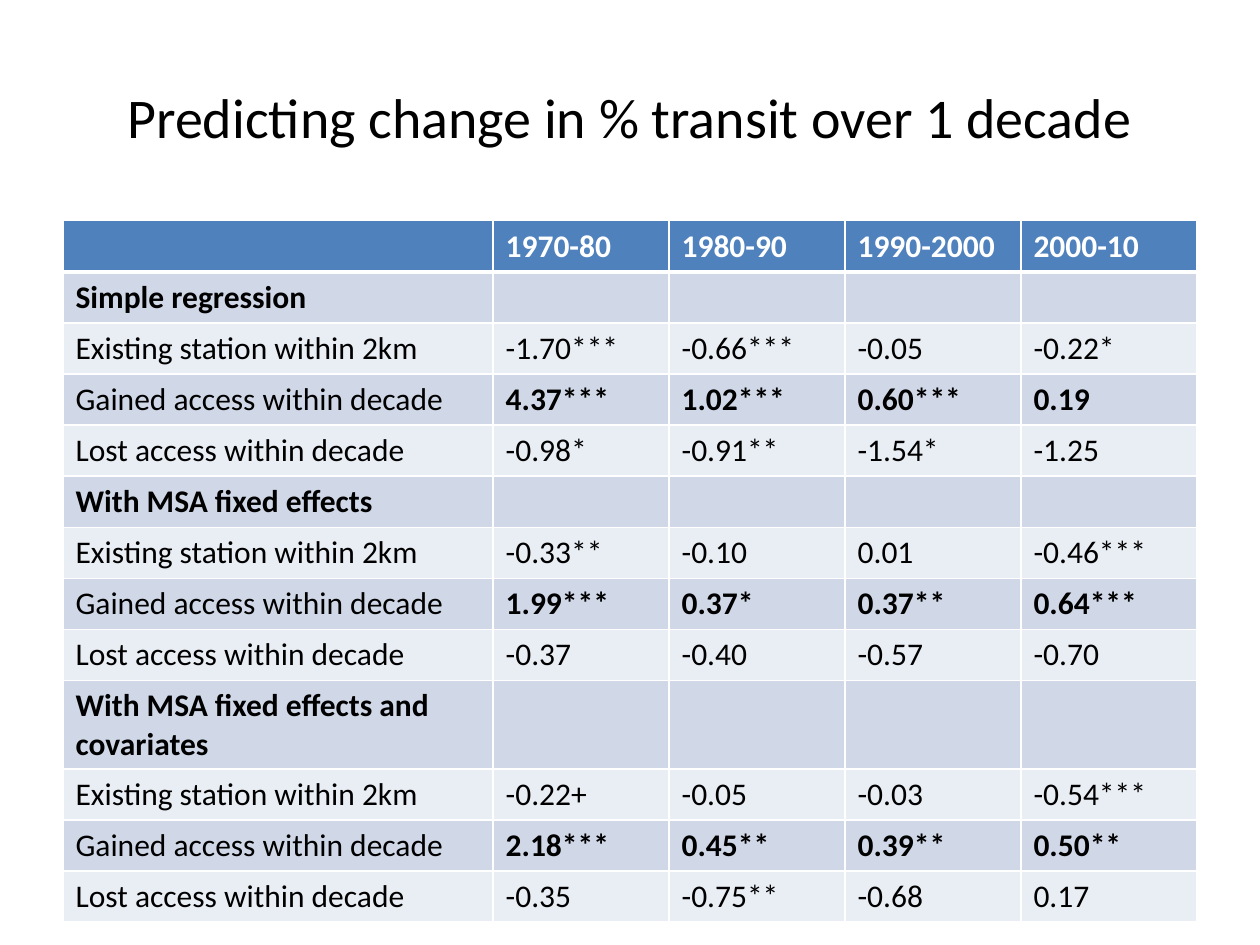
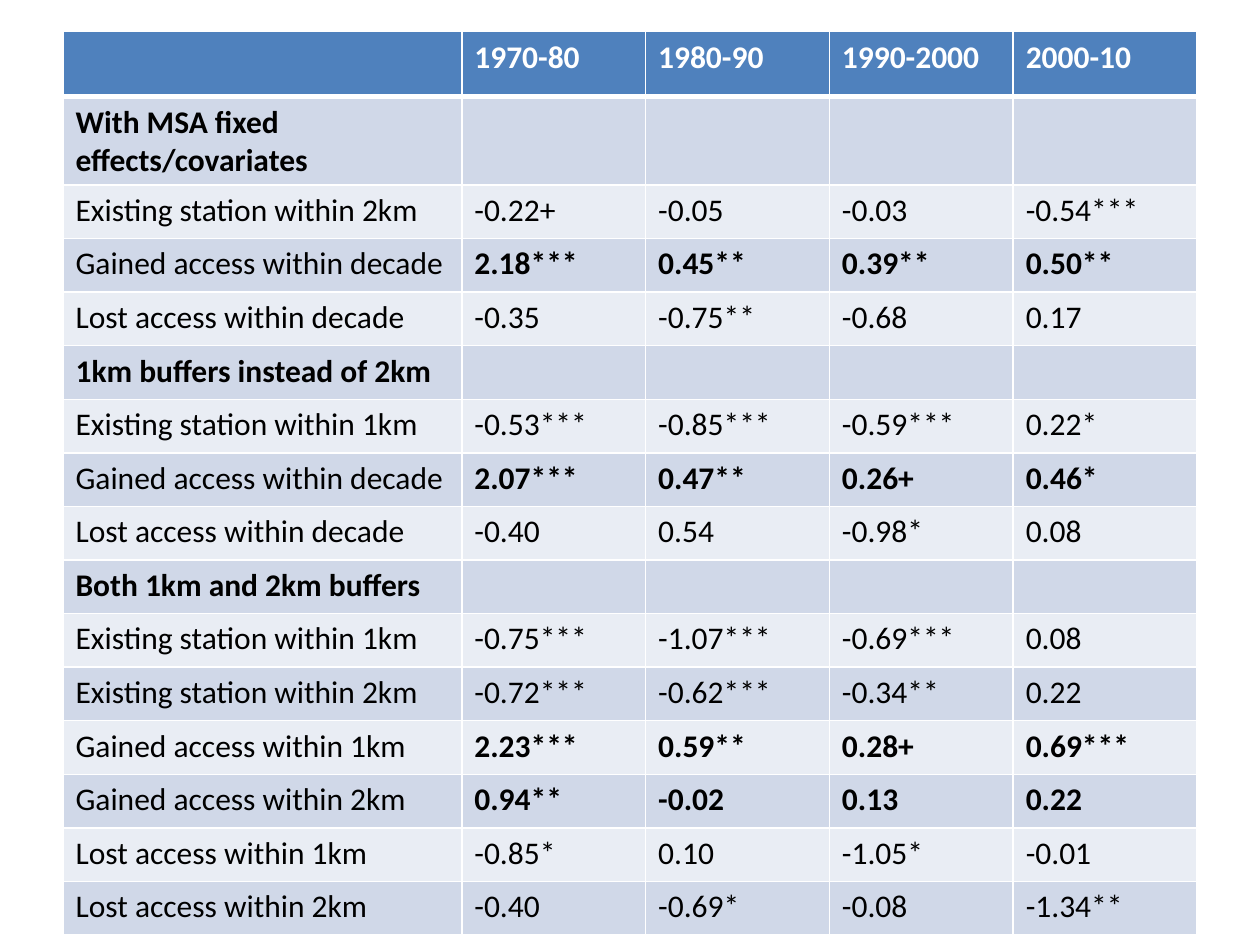
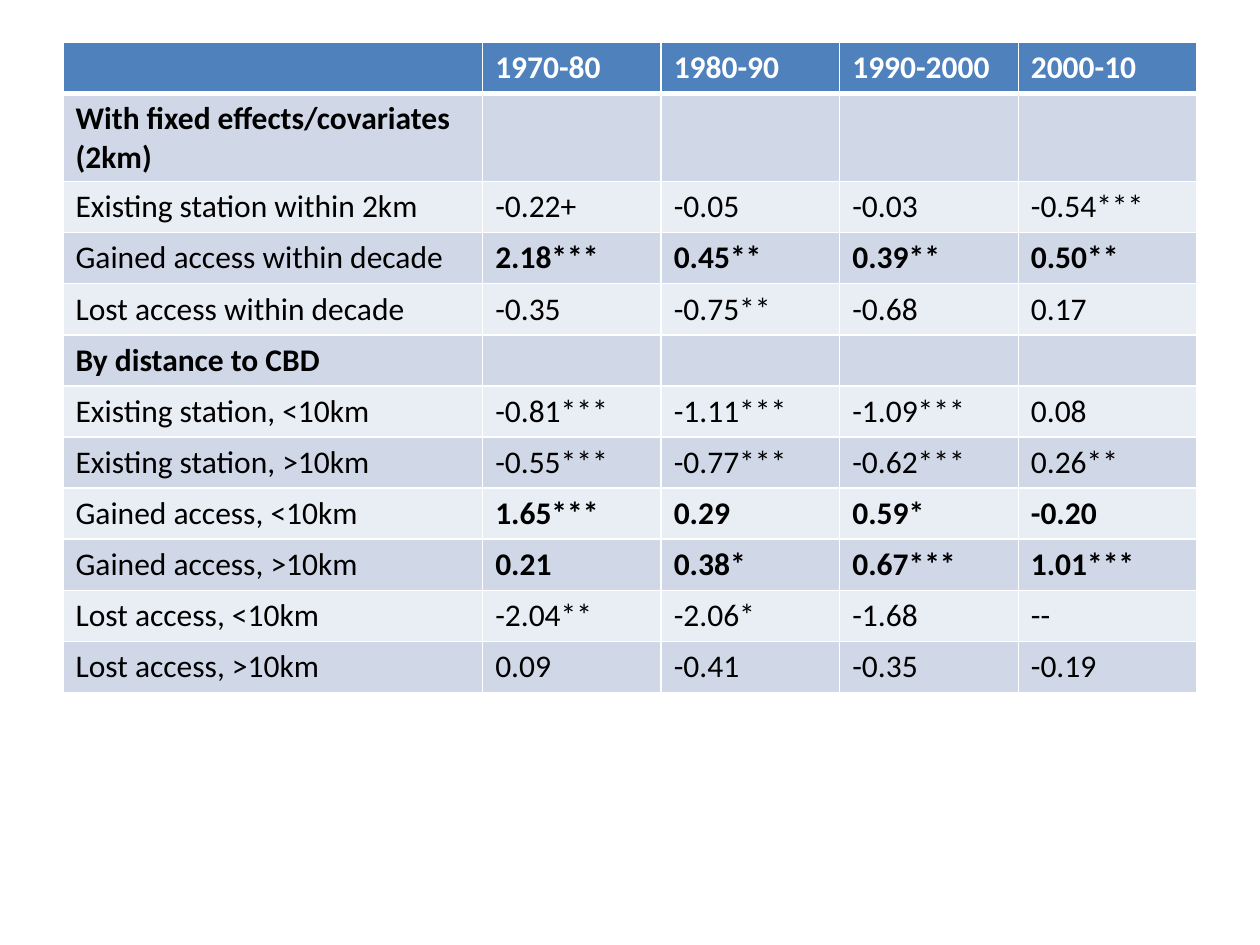
"""Build three slides of regression tables on transit access and ridership."""
from dataclasses import dataclass

from lxml.etree import SubElement as Sub
from pptx import Presentation
from pptx.dml.color import RGBColor as RGB
from pptx.enum.text import MSO_ANCHOR as Anchor, PP_ALIGN as Align
from pptx.oxml.ns import qn
from pptx.util import Cm, Pt


@dataclass(frozen=True)
class Theme:
    font: str = "Calibri"
    title_size: int = 32
    cell_size: int = 18
    ink: str = "000000"
    paper: str = "FFFFFF"
    header: str = "4F81BD"
    bands: tuple = ("D0D8E8", "E9EDF4")
    rule: int = 1
    header_rule: int = 3


T = Theme()
LEFT, WIDTH = 1.27, 22.86
TITLE_TOP, TITLE_HEIGHT = 0.76, 3.18
HEADER = ("", "1970-80", "1980-90", "1990-2000", "2000-10")
BOLD_PREFIX = "Gained"

COVARIATE_ROWS = [
    ("Existing station within 2km", "-0.22+", "-0.05", "-0.03", "-0.54***"),
    ("Gained access within decade", "2.18***", "0.45**", "0.39**", "0.50**"),
    ("Lost access within decade", "-0.35", "-0.75**", "-0.68", "0.17"),
]

MODELS = [
    ("Simple regression",),
    ("Existing station within 2km", "-1.70***", "-0.66***", "-0.05", "-0.22*"),
    ("Gained access within decade", "4.37***", "1.02***", "0.60***", "0.19"),
    ("Lost access within decade", "-0.98*", "-0.91**", "-1.54*", "-1.25"),
    ("With MSA fixed effects",),
    ("Existing station within 2km", "-0.33**", "-0.10", "0.01", "-0.46***"),
    ("Gained access within decade", "1.99***", "0.37*", "0.37**", "0.64***"),
    ("Lost access within decade", "-0.37", "-0.40", "-0.57", "-0.70"),
    ("With MSA fixed effects and covariates",),
    *COVARIATE_ROWS,
]

BUFFERS = [
    ("With MSA fixed effects/covariates",),
    *COVARIATE_ROWS,
    ("1km buffers instead of 2km",),
    ("Existing station within 1km", "-0.53***", "-0.85***", "-0.59***", "0.22*"),
    ("Gained access within decade", "2.07***", "0.47**", "0.26+", "0.46*"),
    ("Lost access within decade", "-0.40", "0.54", "-0.98*", "0.08"),
    ("Both 1km and 2km buffers",),
    ("Existing station within 1km", "-0.75***", "-1.07***", "-0.69***", "0.08"),
    ("Existing station within 2km", "-0.72***", "-0.62***", "-0.34**", "0.22"),
    ("Gained access within 1km", "2.23***", "0.59**", "0.28+", "0.69***"),
    ("Gained access within 2km", "0.94**", "-0.02", "0.13", "0.22"),
    ("Lost access within 1km", "-0.85*", "0.10", "-1.05*", "-0.01"),
    ("Lost access within 2km", "-0.40", "-0.69*", "-0.08", "-1.34**"),
]

DISTANCES = [
    ("With fixed effects/covariates (2km)",),
    *COVARIATE_ROWS,
    ("By distance to CBD",),
    ("Existing station, <10km", "-0.81***", "-1.11***", "-1.09***", "0.08"),
    ("Existing station, >10km", "-0.55***", "-0.77***", "-0.62***", "0.26**"),
    ("Gained access, <10km", "1.65***", "0.29", "0.59*", "-0.20"),
    ("Gained access, >10km", "0.21", "0.38*", "0.67***", "1.01***"),
    ("Lost access, <10km", "-2.04**", "-2.06*", "-1.68", "--"),
    ("Lost access, >10km", "0.09", "-0.41", "-0.35", "-0.19"),
]

SLIDES = [
    dict(title="Predicting change in % transit over 1 decade", rows=MODELS,
         top=4.45, label_width=8.67, header_height=1.03, row_height=1.03),
    dict(title=None, rows=BUFFERS,
         top=0.64, label_width=8.04, header_height=1.31, row_height=1.08),
    dict(title=None, rows=DISTANCES,
         top=0.85, label_width=8.46, header_height=1.03, row_height=1.03),
]


def put_text(tf, text, size=T.cell_size, color=T.ink, bold=False, align=Align.LEFT):
    p = tf.paragraphs[0]
    p.alignment = align
    r = p.add_run()
    r.text = text
    r.font.name, r.font.size, r.font.bold = T.font, Pt(size), bold
    r.font.color.rgb = RGB.from_string(color)


def set_borders(cell, top=T.rule, bottom=T.rule):
    tc_pr = cell._tc.get_or_add_tcPr()
    for side, width in (("L", T.rule), ("R", T.rule), ("T", top), ("B", bottom)):
        ln = Sub(tc_pr, qn(f"a:ln{side}"), w=str(Pt(width)))
        Sub(Sub(ln, qn("a:solidFill")), qn("a:srgbClr"), val=T.paper)


def add_title(s, text):
    sp = s.shapes.add_textbox(Cm(LEFT), Cm(TITLE_TOP), Cm(WIDTH), Cm(TITLE_HEIGHT))
    tf = sp.text_frame
    tf.word_wrap = True
    tf.vertical_anchor = Anchor.MIDDLE
    put_text(tf, text, size=T.title_size, align=Align.CENTER)


def add_results(s, rows, top, label_width, header_height, row_height):
    lines = [HEADER, *rows]
    heights = [header_height] + [row_height] * len(rows)
    columns = len(HEADER)
    value_width = (WIDTH - label_width) / (columns - 1)
    tbl = s.shapes.add_table(len(lines), columns, Cm(LEFT), Cm(top),
                             Cm(WIDTH), Cm(sum(heights))).table
    tbl.horz_banding = False
    for j, col in enumerate(tbl.columns):
        col.width = Cm(value_width if j else label_width)
    for i, (line, height) in enumerate(zip(lines, heights)):
        tbl.rows[i].height = Cm(height)
        is_header, is_section = i == 0, len(line) == 1
        fill = T.header if is_header else T.bands[(i - 1) % 2]
        for j in range(columns):
            cell = tbl.cell(i, j)
            set_borders(cell, top=T.header_rule if i == 1 else T.rule,
                        bottom=T.header_rule if is_header else T.rule)
            cell.fill.solid()
            cell.fill.fore_color.rgb = RGB.from_string(fill)
            if j < len(line) and line[j]:
                is_gain = j > 0 and line[0].startswith(BOLD_PREFIX)
                put_text(cell.text_frame, line[j],
                         color=T.paper if is_header else T.ink,
                         bold=is_header or is_section or is_gain)


def main():
    prs = Presentation()
    prs.slide_width, prs.slide_height = Cm(25.4), Cm(19.05)
    for content in SLIDES:
        s = prs.slides.add_slide(prs.slide_layouts[6])
        if content["title"]:
            add_title(s, content["title"])
        add_results(s, **{k: v for k, v in content.items() if k != "title"})
    prs.save("out.pptx")


if __name__ == "__main__":
    main()
